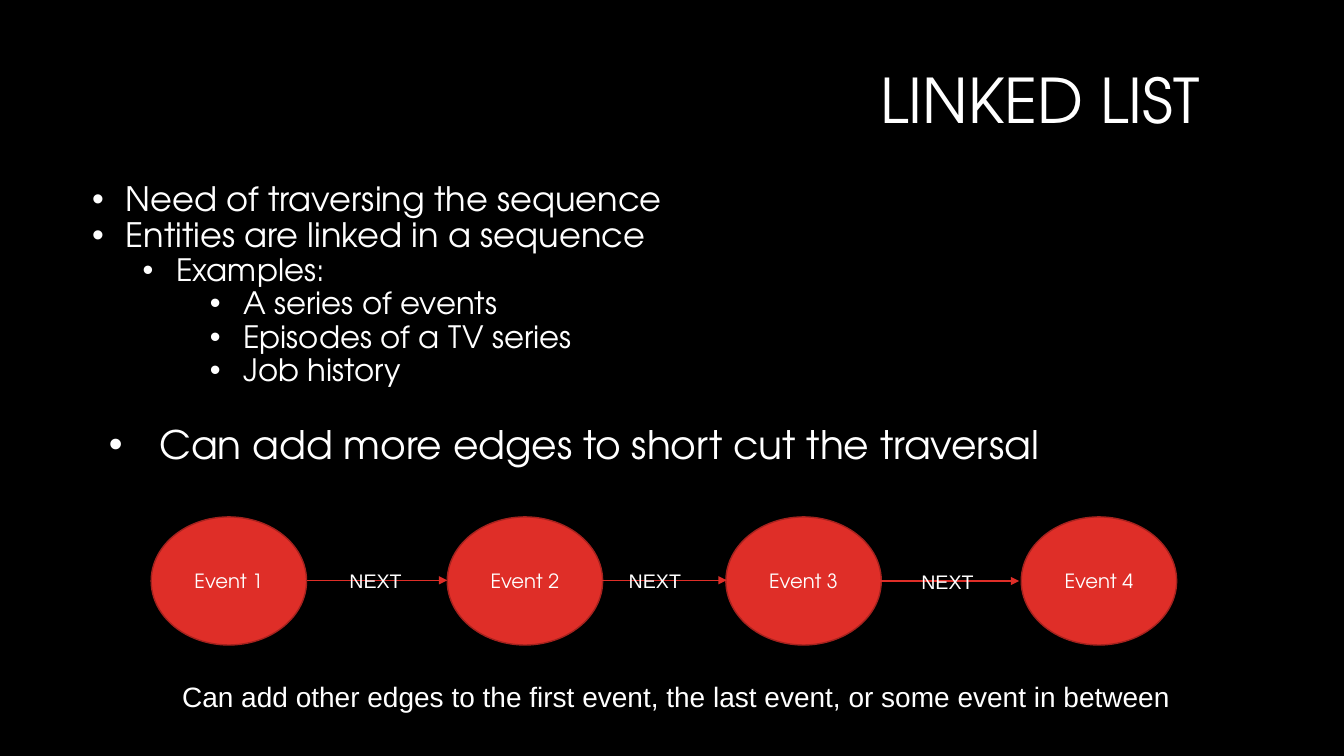
from lxml import etree
from pptx import Presentation
from pptx.dml.color import RGBColor
from pptx.enum.shapes import MSO_CONNECTOR, MSO_SHAPE
from pptx.enum.text import MSO_ANCHOR, PP_ALIGN
from pptx.oxml.ns import qn
from pptx.util import Pt

BLACK = RGBColor(0x00, 0x00, 0x00)
WHITE = RGBColor(0xFF, 0xFF, 0xFF)
RED = RGBColor(0xDF, 0x2E, 0x28)
DARK = RGBColor(0xA5, 0x22, 0x1E)
OVAL = MSO_SHAPE.OVAL
LINE = MSO_CONNECTOR.STRAIGHT
LEFT, RIGHT, CENTER = PP_ALIGN.LEFT, PP_ALIGN.RIGHT, PP_ALIGN.CENTER
MIDDLE = MSO_ANCHOR.MIDDLE
HEAD_FONT = "TeX Gyre Adventor"
NOTE_FONT = "Arial"
PAD = 9.36

POINTS = [
    ("Need of traversing the sequence", 0, 24, 48, 24, 0),
    ("Entities are linked in a sequence", 0, 24, 48, 24, 0),
    ("Examples:", 1, 22, 84, 24, 0),
    ("A series of events", 2, 22, 132, 24, 0),
    ("Episodes of a TV series", 2, 22, 132, 24, 0),
    ("Job history", 2, 22, 132, 24, 0),
    ("Can add more edges to short cut the traversal", 0, 28, 72, 36, 26.5),
]


def write(para, text, size, font=HEAD_FONT, align=LEFT, gap=1.0, before=0):
    para.alignment = align
    para.line_spacing = gap
    para.space_before = Pt(before)
    run = para.add_run()
    run.text = text
    run.font.size = Pt(size)
    run.font.name = font
    run.font.color.rgb = WHITE


def add_frame(slide, box, pad=None, wrap=True):
    frame = slide.shapes.add_textbox(*map(Pt, box)).text_frame
    frame.word_wrap = wrap
    if pad is not None:
        frame.margin_left = frame.margin_right = Pt(pad)
        frame.margin_top = frame.margin_bottom = Pt(pad)
    return frame


def add_bullet(para, indent, hang):
    props = para._p.get_or_add_pPr()
    props.set("marL", str(Pt(indent)))
    props.set("indent", str(-Pt(hang)))
    etree.SubElement(props, qn("a:buFont")).set("typeface", NOTE_FONT)
    etree.SubElement(props, qn("a:buChar")).set("char", "•")


def add_title(slide, box):
    frame = add_frame(slide, box, PAD)
    write(frame.paragraphs[0], "LINKED LIST", 44, align=RIGHT, gap=0.9)


def add_body(slide, box):
    frame = add_frame(slide, box, PAD)
    for i, (text, level, size, indent, hang, before) in enumerate(POINTS):
        para = frame.add_paragraph() if i else frame.paragraphs[0]
        para.level = level
        write(para, text, size, gap=0.9, before=before)
        add_bullet(para, indent, hang)


def add_event(slide, box, text):
    oval = slide.shapes.add_shape(OVAL, *map(Pt, box))
    oval.shadow.inherit = False
    oval.fill.solid()
    oval.fill.fore_color.rgb = RED
    oval.line.color.rgb = DARK
    oval.line.width = Pt(1)
    oval.text_frame.vertical_anchor = MIDDLE
    write(oval.text_frame.paragraphs[0], text, 14, align=CENTER)


def add_link(slide, x, y, size):
    link = slide.shapes.add_connector(LINE, Pt(x), Pt(y), Pt(x + size), Pt(y))
    link.line.color.rgb = RED
    link.line.width = Pt(0.75)
    etree.SubElement(link.line._get_or_add_ln(), qn("a:tailEnd")).set("type", "triangle")
    etree.SubElement(link._element.spPr, qn("a:effectLst"))
    label = add_frame(slide, (x + 23, y - 11.5, 52.5, 24.5), wrap=False)
    write(label.paragraphs[0], "NEXT", 14, NOTE_FONT)


def add_chain(slide, box):
    left, top, width, high = box
    size = 111
    for i, x in enumerate((0, 211.5, 410.5, width - size), 1):
        add_event(slide, (left + x, top, size, high), f"Event {i}")
    for x, drop in ((111.5, 0), (311, 0), (520, 0.5)):
        add_link(slide, left + x, top + high / 2 - 0.5 + drop, 100)


def add_note(slide, box):
    text = "Can add other edges to the first event, the last event, or some event in between"
    write(add_frame(slide, box, wrap=False).paragraphs[0], text, 20, NOTE_FONT)


def main():
    deck = Presentation()
    deck.slide_width, deck.slide_height = Pt(960), Pt(540)
    slide = deck.slides.add_slide(deck.slide_layouts[6])
    slide.background.fill.solid()
    slide.background.fill.fore_color.rgb = BLACK
    add_title(slide, (32.5, 41, 834, 65.5))
    add_body(slide, (32.5, 121, 894, 261.5))
    add_chain(slide, (108, 369.25, 732.5, 91.5))
    add_note(slide, (123, 481.75, 731, 31.5))
    deck.save("out.pptx")


if __name__ == "__main__":
    main()
